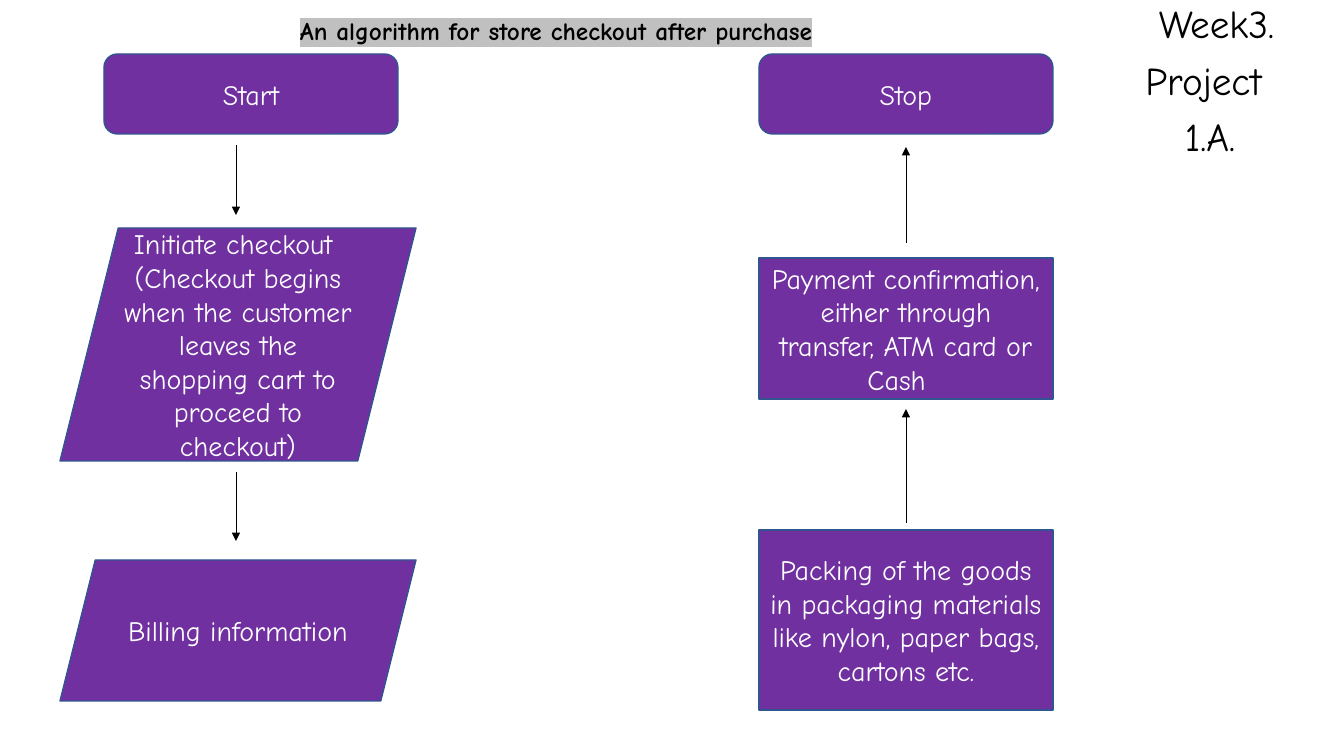
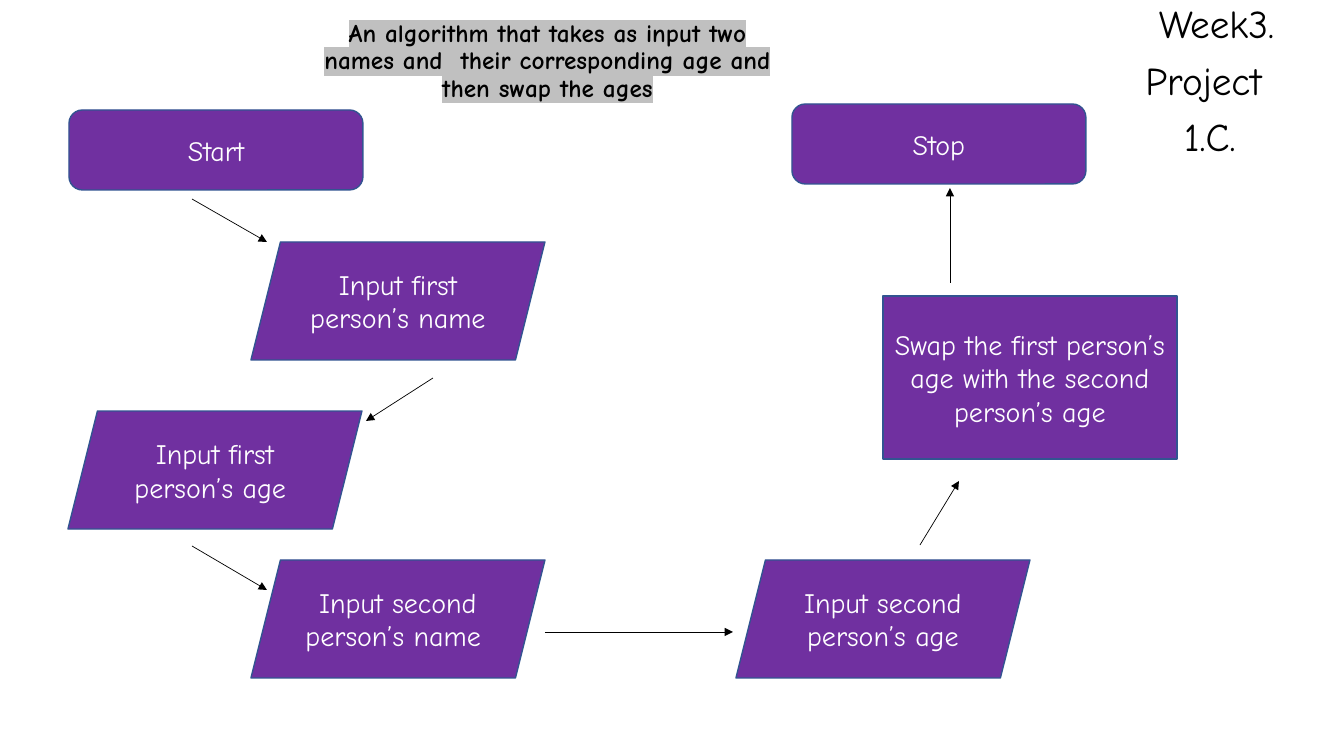
"""Build two flowchart slides of checkout and age-swap algorithms."""
from pptx import Presentation
from pptx.dml.color import RGBColor
from pptx.enum.shapes import MSO_CONNECTOR, MSO_SHAPE
from pptx.enum.text import MSO_ANCHOR, PP_ALIGN
from pptx.oxml.ns import qn
from pptx.util import Emu, Pt
from lxml.etree import SubElement

SCALE = 914400 / 100.8
FONT = "Comic Neue"
COLORS = {
    "step": "7030A0",
    "outline": "325491",
    "light": "FFFFFF",
    "ink": "000000",
    "marker": "C0C0C0",
}
TERMINAL = MSO_SHAPE.ROUNDED_RECTANGLE
INPUT = MSO_SHAPE.PARALLELOGRAM
PROCESS = MSO_SHAPE.RECTANGLE
STEP_WIDTH = 294
TERMINAL_HEIGHT = 80
INPUT_HEIGHT = 118


def px(*lengths):
    return [Emu(round(length * SCALE)) for length in lengths]


def color(name):
    return RGBColor.from_string(COLORS[name])


def add_span(para, text, size, ink, bold=False):
    span = para.add_run()
    span.text = text
    span.font.name = FONT
    span.font.size = Pt(size)
    span.font.bold = bold
    span.font.color.rgb = color(ink)
    return span


def add_mark(span):
    properties = span.font._element
    mark = SubElement(properties, qn("a:highlight"))
    SubElement(mark, qn("a:srgbClr")).set("val", COLORS["marker"])
    properties.find(qn("a:solidFill")).addnext(mark)


def fill_frame(frame, lines, size, ink, align=PP_ALIGN.CENTER, spacing=None, bold=False):
    frame.word_wrap = True
    spans = []
    for index, line in enumerate(lines):
        para = frame.add_paragraph() if index else frame.paragraphs[0]
        para.alignment = align
        if spacing:
            para.line_spacing = spacing
            para.space_before = Pt(10)
        spans.append(add_span(para, line, size, ink, bold))
    return spans


def add_title(page, area, text, align, spacing):
    box = page.shapes.add_textbox(*px(*area))
    for span in fill_frame(box.text_frame, [text], 18, "ink", align, spacing, True):
        add_mark(span)


def add_label(page, number):
    box = page.shapes.add_textbox(*px(1075, 0, 270, 166))
    fill_frame(box.text_frame, [" Week3.", "Project ", number], 28, "ink", spacing=0.9)


def add_step(page, kind, area, *lines):
    step = page.shapes.add_shape(kind, *px(*area))
    step.shadow.inherit = False
    step.fill.solid()
    step.fill.fore_color.rgb = color("step")
    step.line.color.rgb = color("outline")
    step.line.width = Pt(1)
    step.text_frame.vertical_anchor = MSO_ANCHOR.MIDDLE
    fill_frame(step.text_frame, lines, 20, "light")


def add_terminal(page, left, top, text):
    add_step(page, TERMINAL, (left, top, STEP_WIDTH, TERMINAL_HEIGHT), text)


def add_arrow(page, *ends):
    arrow = page.shapes.add_connector(MSO_CONNECTOR.STRAIGHT, *px(*ends))
    arrow.line.color.rgb = color("ink")
    arrow.line.width = Pt(0.5)
    properties = arrow._element.spPr
    SubElement(properties.find(qn("a:ln")), qn("a:tailEnd")).set("type", "triangle")
    SubElement(properties, qn("a:effectLst"))


def build_checkout(page):
    start_x, stop_x, input_x, input_width = 104, 759, 60, 356
    add_label(page, "1.A.")
    add_terminal(page, start_x, 54, "Start")
    add_terminal(page, stop_x, 54, "Stop")
    add_step(page, INPUT, (input_x, 228, input_width, 233), "Initiate checkout ",
             "(Checkout begins when the customer leaves the shopping cart "
             "to proceed to checkout)")
    add_step(page, INPUT, (input_x, 560, input_width, 141), "Billing information")
    add_step(page, PROCESS, (stop_x, 530, STEP_WIDTH, 180),
             "Packing of the goods in packaging materials like nylon, "
             "paper bags, cartons etc.")
    add_step(page, PROCESS, (stop_x, 258, STEP_WIDTH, 141),
             "Payment confirmation, either through transfer, ATM card or Cash  ")
    for x, begin, end in [(236, 145, 215), (236, 472, 541), (906, 523, 409), (906, 243, 147)]:
        add_arrow(page, x, begin, x, end)
    add_title(page, (290, 19, 891, 58), "An algorithm for store checkout after purchase",
              PP_ALIGN.LEFT, 0.7)


def build_swap(page):
    add_label(page, "1.C.")
    add_title(page, (304, 16, 487, 116),
              "An algorithm that takes as input two names and  their "
              "corresponding age and then swap the ages", PP_ALIGN.CENTER, 0.9)
    add_terminal(page, 69, 110, "Start")
    add_terminal(page, 792, 104, "Stop")
    inputs = [
        (251, 242, "Input first person’s name"),
        (68, 411, "Input first person’s age "),
        (251, 560, "Input second person’s name "),
        (736, 560, "Input second person’s age"),
    ]
    for left, top, text in inputs:
        add_step(page, INPUT, (left, top, STEP_WIDTH, INPUT_HEIGHT), text)
    add_step(page, PROCESS, (883, 296, STEP_WIDTH, 163),
             "Swap the first person’s age with the second person’s age")
    arrows = [
        (192, 199, 267, 242),
        (433, 378, 366, 421),
        (192, 546, 267, 590),
        (545, 632, 733, 632),
        (920, 545, 959, 481),
        (950, 283, 950, 188),
    ]
    for ends in arrows:
        add_arrow(page, *ends)


def main():
    deck = Presentation()
    deck.slide_width, deck.slide_height = px(1344, 756)
    for build in (build_checkout, build_swap):
        build(deck.slides.add_slide(deck.slide_layouts[6]))
    deck.save("out.pptx")


main()
